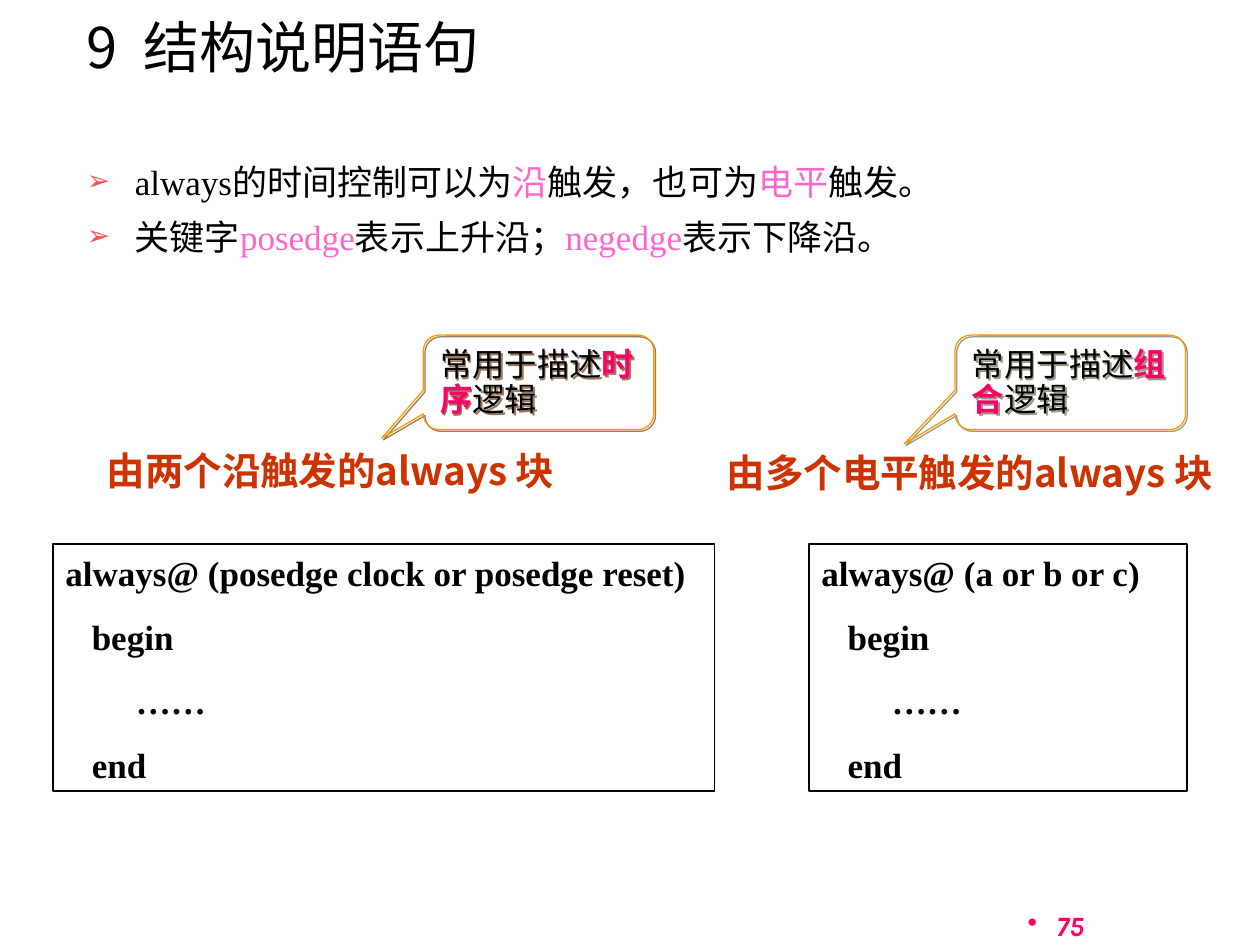
from lxml import etree
from pptx import Presentation
from pptx.dml.color import RGBColor
from pptx.enum.shapes import MSO_SHAPE
from pptx.enum.text import MSO_ANCHOR, MSO_AUTO_SIZE, PP_ALIGN
from pptx.oxml.ns import qn
from pptx.util import Inches, Pt

CALLOUT, RECTANGLE = MSO_SHAPE.ROUNDED_RECTANGULAR_CALLOUT, MSO_SHAPE.RECTANGLE
TOP, BOTTOM = MSO_ANCHOR.TOP, MSO_ANCHOR.BOTTOM
FIXED, GROW = MSO_AUTO_SIZE.NONE, MSO_AUTO_SIZE.SHAPE_TO_FIT_TEXT
LEFT, RIGHT, JUSTIFY = PP_ALIGN.LEFT, PP_ALIGN.RIGHT, PP_ALIGN.JUSTIFY

BLACK = RGBColor(0x00, 0x00, 0x00)
PINK = RGBColor(0xFF, 0x66, 0xCC)
MAGENTA = RGBColor(0xFF, 0x00, 0x66)
CORAL = RGBColor(0xFF, 0x50, 0x50)
ORANGE = RGBColor(0xFF, 0x99, 0x00)
RUST = RGBColor(0xCC, 0x33, 0x00)
BROWN = RGBColor(0x99, 0x7A, 0x5C)
GREY = RGBColor(0x99, 0x99, 0x85)

SANS, SERIF, NUMBER = "Noto Sans CJK SC", "Times New Roman", "Karla"


class SlideBuilder:
    """Holds the fonts and the current page, and adds each kind of element."""

    def __init__(self, page):
        self.page = page

    def place(self, shape, left, top, width, height):
        shape.left, shape.top = Inches(left), Inches(top)
        shape.width, shape.height = Inches(width), Inches(height)

    def frame(self, shape, anchor=BOTTOM, fit=FIXED):
        frame = shape.text_frame
        frame.word_wrap = True
        frame.auto_size = fit
        frame.vertical_anchor = anchor
        return frame

    def add_spans(self, para, spans, size, font, align=LEFT, before=0, spacing=1.0):
        para.alignment = align
        para.space_before = Pt(before)
        para.line_spacing = spacing
        for text, color, bold in spans:
            span = para.add_run()
            span.text = text
            span.font.size = Pt(size)
            span.font.name = font
            span.font.bold = bold
            span.font.color.rgb = color
            east = etree.SubElement(span.font._element, qn("a:ea"))
            east.set("typeface", SANS)

    def indent(self, para, margin, first=0.0):
        properties = para._p.get_or_add_pPr()
        properties.set("marL", str(Inches(margin)))
        properties.set("indent", str(Inches(first)))
        return properties

    def bullet(self, para, symbol, color, hanging, percent=100):
        properties = self.indent(para, hanging, -hanging)
        tint = etree.SubElement(properties, qn("a:buClr"))
        etree.SubElement(tint, qn("a:srgbClr")).set("val", str(color))
        etree.SubElement(properties, qn("a:buSzPct")).set("val", str(percent * 1000))
        etree.SubElement(properties, qn("a:buChar")).set("char", symbol)

    def title(self, text, *position):
        shape = self.page.shapes.title
        self.place(shape, *position)
        para = self.frame(shape).paragraphs[0]
        self.add_spans(para, [(text, BLACK, False)], 32, SANS)

    def body(self, items, *position):
        shape = self.page.placeholders[1]
        self.place(shape, *position)
        frame = self.frame(shape, TOP)
        for index, spans in enumerate(items):
            para = frame.add_paragraph() if index else frame.paragraphs[0]
            self.add_spans(para, spans, 20, SERIF, JUSTIFY, 5, 1.1)
            self.bullet(para, "➢", CORAL, 0.38, 80)

    def text_box(self, fit, *position):
        box = self.page.shapes.add_textbox(*map(Inches, position))
        return self.frame(box, fit=fit).paragraphs[0]

    def heading(self, text, *position):
        para = self.text_box(GROW, *position)
        self.add_spans(para, [(text, RUST, True)], 22, SANS, JUSTIFY)
        self.indent(para, 0.31, -0.31)

    def page_number(self, text, *position):
        para = self.text_box(FIXED, *position)
        self.add_spans(para, [(text, MAGENTA, True)], 16, NUMBER, RIGHT)
        para.runs[0].font.italic = True
        self.bullet(para, "•", MAGENTA, 0.23)

    def outline(self, kind, color, weight, *position):
        shape = self.page.shapes.add_shape(kind, *map(Inches, position))
        shape.shadow.inherit = False
        shape.fill.background()
        shape.line.color.rgb = color
        shape.line.width = Pt(weight)
        return shape

    def callout(self, keyword, shadow, tip, *position):
        shape = self.outline(CALLOUT, ORANGE, 0.75, *position)
        shape.adjustments[0], shape.adjustments[1] = tip
        effects = shape._element.spPr.find(qn("a:effectLst"))
        outer = etree.SubElement(effects, qn("a:outerShdw"))
        outer.set("dist", str(Pt(1.4)))
        outer.set("dir", "2700000")
        outer.set("algn", "ctr")
        outer.set("rotWithShape", "0")
        etree.SubElement(outer, qn("a:srgbClr")).set("val", str(shadow))
        spans = [("常用于描述", BLACK, False), (keyword, MAGENTA, True), ("逻辑", BLACK, False)]
        self.add_spans(self.frame(shape).paragraphs[0], spans, 18.5, SANS, spacing=0.9)

    def code(self, first_line, *position):
        shape = self.outline(RECTANGLE, BLACK, 1, *position)
        frame = self.frame(shape, fit=GROW)
        lines = [(first_line, 0), ("begin", 0.21), ("……", 0.56), ("end", 0.21)]
        for index, (text, margin) in enumerate(lines):
            para = frame.add_paragraph() if index else frame.paragraphs[0]
            self.add_spans(para, [(text, BLACK, True)], 20, SERIF, before=12.5)
            self.indent(para, margin)


def main():
    deck = Presentation()
    deck.slide_width, deck.slide_height = Inches(10), Inches(7.5)
    builder = SlideBuilder(deck.slides.add_slide(deck.slide_layouts[1]))

    builder.page_number("75", 6.37, 7.01, 2.33, 0.52)
    builder.title("9  结构说明语句", 0.59, 0.21, 6.22, 0.47)
    builder.body([
        [("always的时间控制可以为", BLACK, False), ("沿", PINK, False),
         ("触发，也可为", BLACK, False), ("电平", PINK, False), ("触发。", BLACK, False)],
        [("关键字", BLACK, False), ("posedge", PINK, False), ("表示上升沿；", BLACK, False),
         ("negedge", PINK, False), ("表示下降沿。", BLACK, False)],
    ], 0.59, 1.19, 8.66, 5.16)

    builder.callout("时序", BROWN, (-0.68, 0.59), 3.36, 2.66, 1.83, 0.75)
    builder.callout("组合", GREY, (-0.72, 0.65), 7.58, 2.66, 1.83, 0.75)
    builder.code("always@ (posedge clock or posedge reset)", 0.42, 4.32, 5.25, 1.96)
    builder.code("always@ (a or b or c)", 6.42, 4.32, 3, 1.96)
    builder.heading("由两个沿触发的always 块", 0.75, 3.49, 4.33, 0.47)
    builder.heading("由多个电平触发的always 块", 5.67, 3.51, 4.33, 0.47)

    deck.save("out.pptx")


if __name__ == "__main__":
    main()
